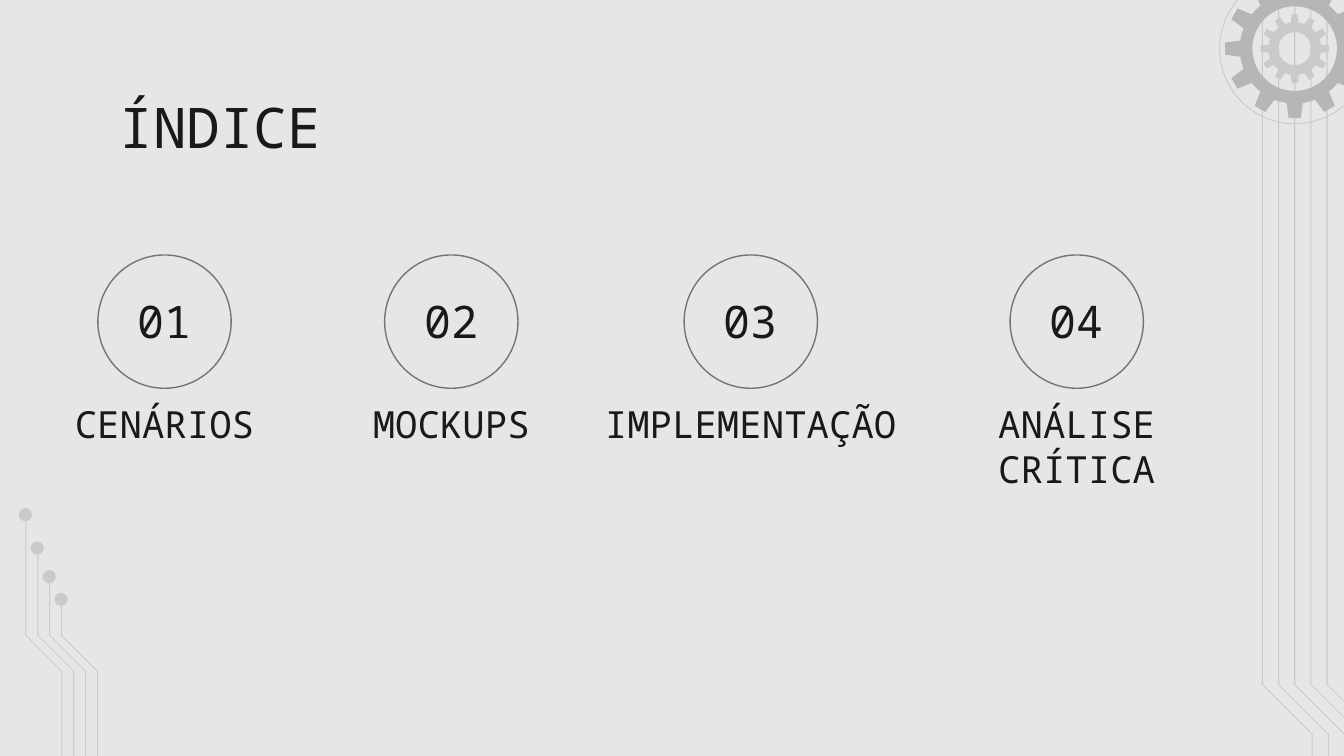
from collections import namedtuple
from math import cos, radians, sin

from pptx import Presentation
from pptx.dml.color import RGBColor
from pptx.enum.shapes import MSO_SHAPE as Preset
from pptx.enum.text import MSO_ANCHOR as Anchor, PP_ALIGN as Align
from pptx.util import Cm, Pt

BACKGROUND = RGBColor(0xE6, 0xE6, 0xE6)
LIGHT_GRAY = RGBColor(0xCA, 0xCA, 0xCA)
MID_GRAY = RGBColor(0xB6, 0xB6, 0xB6)
OUTLINE = RGBColor(0x74, 0x74, 0x74)
INK = RGBColor(0x19, 0x19, 0x19)
FONT = "Noto Sans Mono"
TRACE_WIDTH = 0.02
TEETH = 12

Box = namedtuple("Box", "left top width height")


def set_attributes(target, values):
    for name, value in values.items():
        setattr(target, name, value)


def fill_plain(shape, color):
    shape.shadow.inherit = False
    shape.fill.solid()
    shape.fill.fore_color.rgb = color
    shape.line.fill.background()


def add_outline(slide, contours, color):
    contours = [[(Cm(x), Cm(y)) for x, y in points] for points in contours]
    first, *others = contours
    builder = slide.shapes.build_freeform(*first[0], scale=1.0)
    builder.add_line_segments(first[1:], close=True)
    for points in others:
        builder.move_to(*points[0])
        builder.add_line_segments(points[1:], close=True)
    fill_plain(builder.convert_to_shape(), color)


def add_trace(slide, points):
    back = [(x + TRACE_WIDTH, y) for x, y in reversed(points)]
    add_outline(slide, [points + back], LIGHT_GRAY)


def add_ellipse(slide, box):
    shape = slide.shapes.add_shape(Preset.OVAL, *map(Cm, box))
    shape.shadow.inherit = False
    return shape


def add_ring(slide, box, color, width):
    ring = add_ellipse(slide, box)
    ring.fill.background()
    ring.line.color.rgb = color
    ring.line.width = Pt(width)


def add_text(slide, box, text, size, align=Align.LEFT, anchor=Anchor.TOP):
    frame = slide.shapes.add_textbox(*map(Cm, box)).text_frame
    inset = Cm(0.25)
    set_attributes(frame, {
        "word_wrap": True,
        "vertical_anchor": anchor,
        "margin_left": inset,
        "margin_right": inset,
        "margin_top": inset,
        "margin_bottom": inset,
    })
    paragraph = frame.paragraphs[0]
    paragraph.text = text
    paragraph.alignment = align
    set_attributes(paragraph.font, {"name": FONT, "size": Pt(size)})
    paragraph.font.color.rgb = INK


def polar(center, radius, angle):
    x, y = center
    return x + radius * sin(radians(angle)), y - radius * cos(radians(angle))


def add_gear(slide, center, tip, root, hole, color):
    pitch = 360 / TEETH
    profile = ((-8.5, root), (-5, tip), (5, tip), (8.5, root), (15, root))
    teeth = [polar(center, radius, tooth * pitch + angle)
             for tooth in range(TEETH) for angle, radius in profile]
    opening = [polar(center, hole, -angle) for angle in range(0, 360, 5)]
    add_outline(slide, [teeth, opening], color)


def add_gears(slide, box):
    center = box.left + box.width / 2, box.top + box.height / 2
    add_gear(slide, center, 0.65, 0.5, 0.31, LIGHT_GRAY)
    add_gear(slide, center, 1.32, 1.04, 0.8, MID_GRAY)
    add_ring(slide, box, LIGHT_GRAY, 0.5)


def add_right_traces(slide, box, count=5):
    path = ((0, 0), (0, 13.63), (0.94, 14.57), (0.94, 18.66),
            (-1.17, 20.77), (-1.17, box.height))
    gap = (box.width - 0.94) / (count - 1)
    for index in range(count):
        left = box.left + index * gap
        add_trace(slide, [(left + x, box.top + y) for x, y in path])


def add_left_traces(slide, box):
    starts = (0, 0.63, 1.17, 1.6)
    gap, bend, dot = 0.225, 0.68, 0.25
    turn = box.top + 2.28
    for index, start in enumerate(starts):
        x = box.left + index * gap
        y = box.top + start
        bottom = box.top + box.height + index * 0.22
        add_trace(slide, [(x, y), (x, turn), (x + bend, turn + bend),
                          (x + bend, bottom)])
        circle = add_ellipse(slide, Box(x - dot / 2, y - dot / 2, dot, dot))
        fill_plain(circle, LIGHT_GRAY)


def add_index_item(slide, box, number, label):
    add_ring(slide, box, OUTLINE, 0.75)
    number_box = Box(box.left, box.top + 0.53, box.width, 1.47)
    add_text(slide, number_box, number, 24, Align.CENTER, Anchor.BOTTOM)
    label_width = 6.45
    label_box = Box(box.left + (box.width - label_width) / 2,
                    box.top + box.height, label_width, 2.11)
    add_text(slide, label_box, label, 20, Align.CENTER)


def add_index(slide, box):
    items = ((0, "CENÁRIOS"), (5.42, "MOCKUPS"),
             (11.08, "IMPLEMENTAÇÃO"), (17.24, "ANÁLISE CRÍTICA"))
    for number, (offset, label) in enumerate(items, 1):
        circle = Box(box.left + offset, box.top, box.height, box.height)
        add_index_item(slide, circle, f"{number:02}", label)


def main():
    presentation = Presentation()
    set_attributes(presentation, {"slide_width": Cm(25.4),
                                  "slide_height": Cm(14.29)})
    slide = presentation.slides.add_slide(presentation.slide_layouts[6])
    slide.background.fill.solid()
    slide.background.fill.fore_color.rgb = BACKGROUND
    add_right_traces(slide, Box(23.85, -0.69, 2.16, 25.91))
    add_left_traces(slide, Box(0.48, 9.73, 1.36, 4.62))
    add_gears(slide, Box(23.05, -0.5, 2.84, 2.84))
    add_text(slide, Box(2.01, 1.5, 21.41, 1.6), "ÍNDICE", 30)
    add_index(slide, Box(1.85, 4.82, 19.76, 2.52))
    presentation.save("out.pptx")


if __name__ == "__main__":
    main()
